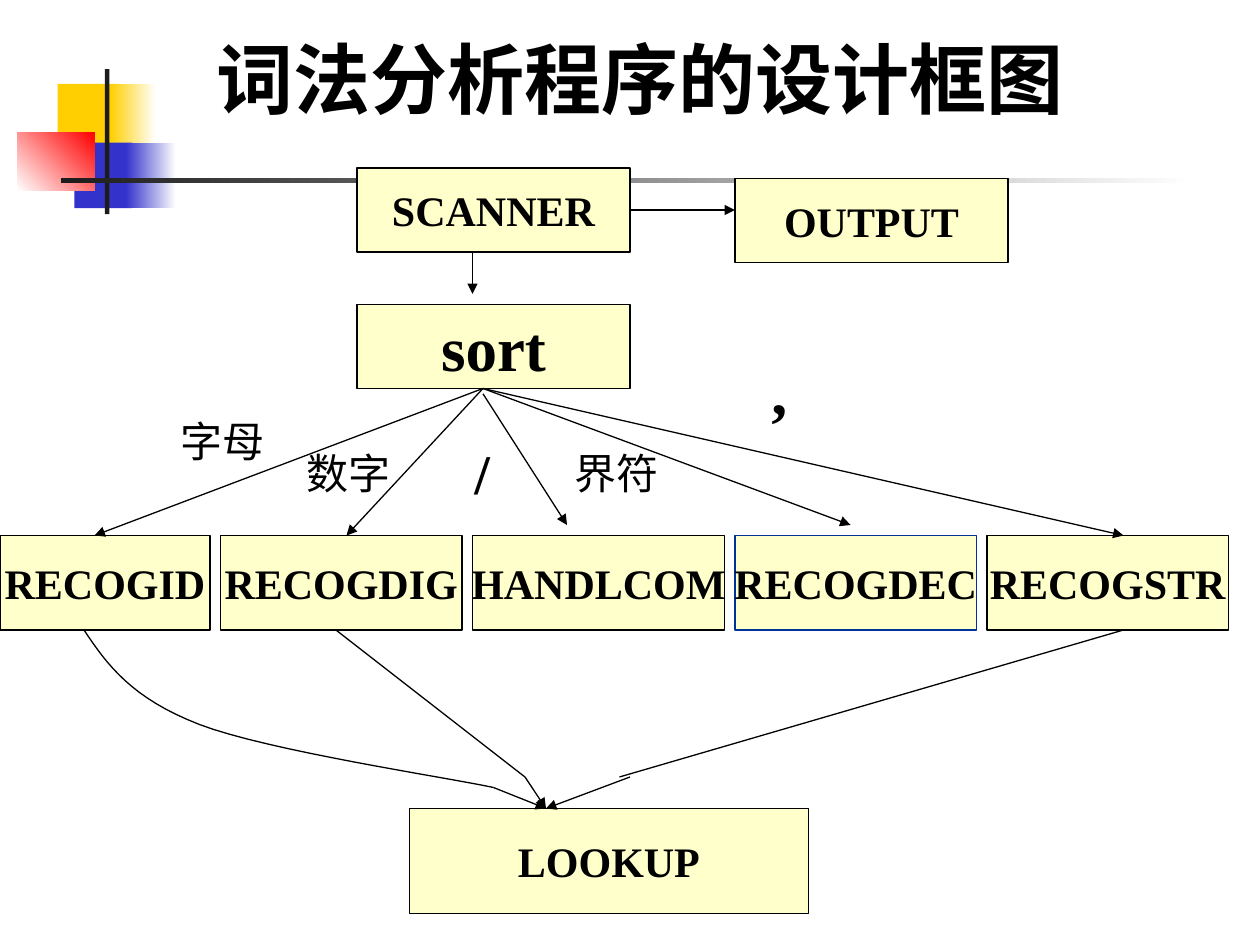
from lxml.etree import SubElement
from pptx import Presentation
from pptx.dml.color import RGBColor
from pptx.enum.shapes import MSO_CONNECTOR as LINK, MSO_SHAPE as SHAPE
from pptx.enum.text import MSO_ANCHOR as ANCHOR, MSO_AUTO_SIZE as FIT, PP_ALIGN as ALIGN
from pptx.oxml.ns import qn
from pptx.util import Pt

BLACK, CREAM, NAVY = "000000", "FFFFCC", "003399"
YELLOW, BLUE, RED, WHITE, CHARCOAL = "FFCF01", "3333CC", "FF0000", "FFFFFF", "1C1C1C"


def color(value):
    return RGBColor.from_string(value)


def write(holder, words, size, bold, align, anchor, wrap, before=0):
    frame = holder.text_frame
    frame.text = words
    paragraph = frame.paragraphs[0]
    formats = [
        (frame, {"word_wrap": wrap, "vertical_anchor": anchor, "auto_size": FIT.NONE,
                 "margin_left": Pt(7.2), "margin_right": Pt(7.2),
                 "margin_top": Pt(3.6), "margin_bottom": Pt(3.6)}),
        (paragraph, {"alignment": align, "space_before": Pt(before)}),
        (paragraph.runs[0].font, {"name": "Times New Roman", "size": Pt(size), "bold": bold}),
    ]
    for target, values in formats:
        for key, value in values.items():
            setattr(target, key, value)
    paragraph.runs[0].font.color.rgb = color(BLACK)


deck = Presentation()
deck.slide_width, deck.slide_height = Pt(720), Pt(540)
slide = deck.slides.add_slide(deck.slide_layouts[5])
shapes = slide.shapes

heading = shapes.title
for side, length in {"left": 116.6, "top": 14.4, "width": 499, "height": 60.5}.items():
    setattr(heading, side, Pt(length))
write(heading, "词法分析程序的设计框图", 44, True, ALIGN.LEFT, ANCHOR.TOP, False)

ornaments = [
    (33, 48, 35, 37.5, YELLOW, None, 0),
    (63, 48, 26, 37.5, YELLOW, WHITE, 0),
    (42.5, 81.5, 33, 37.5, BLUE, None, 0),
    (72, 81.5, 28.5, 37.5, BLUE, WHITE, 0),
    (10, 75.5, 44, 33.5, WHITE, RED, 45),
    (60, 39.5, 2.5, 83, CHARCOAL, None, 0),
    (34.8, 101.8, 648, 2.8, CHARCOAL, WHITE, 0),
]
for left, top, width, height, start, finish, angle in ornaments:
    ornament = shapes.add_shape(SHAPE.RECTANGLE, Pt(left), Pt(top), Pt(width), Pt(height))
    ornament.shadow.inherit = False
    ornament.line.fill.background()
    if finish:
        ornament.fill.gradient()
        ornament.fill.gradient_angle = angle
        for stop, shade in zip(ornament.fill.gradient_stops, (start, finish)):
            stop.color.rgb = color(shade)
    else:
        ornament.fill.solid()
        ornament.fill.fore_color.rgb = color(start)

modules = [
    ("SCANNER", 204, 96, 156, 48, 24, BLACK),
    ("OUTPUT", 420, 102, 156, 48, 24, BLACK),
    ("sort", 204, 174, 156, 48, 36, BLACK),
    ("LOOKUP", 234, 462, 228, 60, 24, BLACK),
]
left = 0
for name, width in [("RECOGID", 120), ("RECOGDIG", 138), ("HANDLCOM", 144),
                    ("RECOGDEC", 138), ("RECOGSTR", 138)]:
    modules.append((name, left, 306, width, 54, 24, NAVY if name == "RECOGDEC" else BLACK))
    left += width + 6

boxes = {}
for name, left, top, width, height, size, edge in modules:
    box = shapes.add_shape(SHAPE.RECTANGLE, Pt(left), Pt(top), Pt(width), Pt(height))
    box.shadow.inherit = False
    box.fill.solid()
    box.fill.fore_color.rgb = color(CREAM)
    box.line.color.rgb = color(edge)
    box.line.width = Pt(0.75)
    write(box, name, size, True, ALIGN.CENTER, ANCHOR.MIDDLE, False)
    boxes[name] = box

arrows = [
    (360, 120, 420, 120),
    (270, 144, 270, 168),
    (276, 222, 54, 306),
    (276, 222, 198, 306),
    (276, 225, 324, 300),
    (276, 222, 486, 300),
    (276, 222, 642, 306),
    (282, 450, 312, 462),
    (300, 444, 312, 462),
    (360, 444, 312, 462),
]
for number, ends in enumerate(arrows):
    arrow = shapes.add_connector(LINK.STRAIGHT, *map(Pt, ends))
    if number == 0:
        arrow.begin_connect(boxes["SCANNER"], 3)
    arrow.line.color.rgb = color(BLACK)
    arrow.line.width = Pt(0.75)
    SubElement(arrow.line._get_or_add_ln(), qn("a:tailEnd"), type="triangle")
    SubElement(arrow._element.spPr, qn("a:effectLst"))

labels = [
    ("字母", 96, 234, 72, 36, 24, False),
    ("数字", 168, 252, 66, 36, 24, False),
    ("/", 264, 247, 78, 46, 32, True),
    ("界符", 321, 252, 78, 36, 24, False),
    ("’", 432, 216, 72, 50.4, 36, True),
]
for words, left, top, width, height, size, bold in labels:
    label = shapes.add_textbox(Pt(left), Pt(top), Pt(width), Pt(height))
    write(label, words, size, bold, ALIGN.LEFT, ANCHOR.TOP, True, size * 0.625)

bends = [((48, 360), (61, 379.5), (75, 399), (114, 414)),
         ((114, 414), (153, 429), (254, 444), (282, 450))]
identifier_path = [(48, 360)]
for bend in bends:
    for step in range(1, 17):
        t = step / 16
        weights = ((1 - t) ** 3, 3 * t * (1 - t) ** 2, 3 * t * t * (1 - t), t ** 3)
        identifier_path.append(tuple(sum(w * p[axis] for w, p in zip(weights, bend))
                                     for axis in (0, 1)))

for route in (identifier_path, [(192, 360), (300, 444)], [(354, 444), (642, 360)]):
    points = [(Pt(x), Pt(y)) for x, y in route]
    builder = shapes.build_freeform(*points[0])
    builder.add_line_segments(points[1:], close=False)
    trail = builder.convert_to_shape()
    trail.shadow.inherit = False
    trail.fill.background()
    trail.line.color.rgb = color(BLACK)
    trail.line.width = Pt(0.75)

deck.save("out.pptx")
